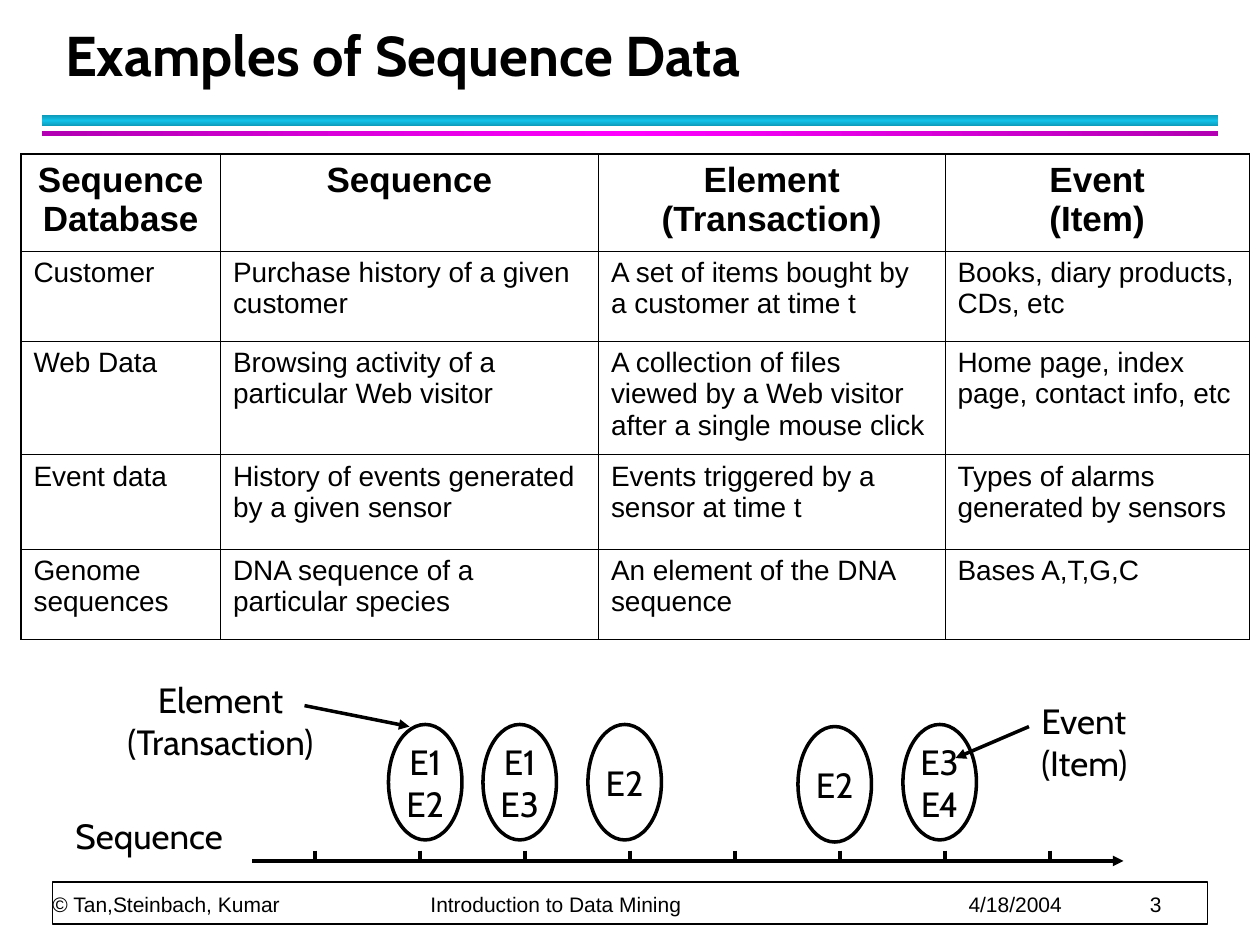
import copy
import dataclasses

import pptx
import pptx.dml.color
import pptx.enum.shapes
import pptx.enum.text
import pptx.oxml
import pptx.oxml.ns
import pptx.util

ALIGN = pptx.enum.text.PP_ALIGN
ANCHOR = pptx.enum.text.MSO_ANCHOR
SHAPE = pptx.enum.shapes.MSO_SHAPE
NAMESPACE = pptx.oxml.ns.nsdecls("a")


@dataclasses.dataclass(frozen=True)
class Theme:
    ink: str = "000000"
    paper: str = "FFFFFF"
    cyan_bar: tuple = ("0E9BBA", "12C2E9", "0E9BBA")
    magenta_bar: tuple = ("B200B2", "FF00FF", "B200B2")
    heading_font: str = "Cabin"
    body_font: str = "Arial"
    title_size: int = 32
    label_size: int = 20
    cell_size: int = 16
    footer_size: int = 12
    diagram_line: float = 2
    frame_line: float = 1
    outer_border: float = 1.08
    inner_border: float = 0.45


def color(value):
    return pptx.dml.color.RGBColor.from_string(value)


def write_text(frame, text, *, font, size, ink, bold=False, align=ALIGN.LEFT,
               anchor=ANCHOR.TOP, wrap=True, line_spacing=None, tabs=()):
    frame.word_wrap = wrap
    frame.vertical_anchor = anchor
    paragraph = frame.paragraphs[0]
    paragraph.text = text
    if tabs:
        stops = "".join(f'<a:tab pos="{pptx.util.Inches(tab)}" algn="l"/>' for tab in tabs)
        paragraph._p.get_or_add_pPr().append(
            pptx.oxml.parse_xml(f"<a:tabLst {NAMESPACE}>{stops}</a:tabLst>"))
    paragraph.alignment = align
    if line_spacing:
        paragraph.line_spacing = pptx.util.Pt(line_spacing)
    for run in paragraph.runs:
        run.font.name = font
        run.font.size = pptx.util.Pt(size)
        run.font.bold = bold
        run.font.color.rgb = color(ink)


class SlideBuilder:
    COLUMNS, ROWS = 120, 90

    def __init__(self, presentation, theme):
        self.theme = theme
        self.cell_width = presentation.slide_width / self.COLUMNS
        self.cell_height = presentation.slide_height / self.ROWS
        self.slide = presentation.slides.add_slide(presentation.slide_layouts[5])

    def place(self, column, row):
        return round(column * self.cell_width), round(row * self.cell_height)

    def box(self, column, row, width, height):
        return self.place(column, row) + self.place(width, height)

    def title(self, text, *area):
        shape = self.slide.shapes.title
        shape.left, shape.top, shape.width, shape.height = self.box(*area)
        shape.text_frame.auto_size = pptx.enum.text.MSO_AUTO_SIZE.NONE
        write_text(shape.text_frame, text, font=self.theme.heading_font,
                   size=self.theme.title_size, ink=self.theme.ink, bold=True,
                   anchor=ANCHOR.BOTTOM, line_spacing=36)

    def shape(self, kind, *area):
        shape = self.slide.shapes.add_shape(kind, *self.box(*area))
        shape.shadow.inherit = False
        return shape

    def outline(self, shape, width):
        shape.line.color.rgb = color(self.theme.ink)
        shape.line.width = pptx.util.Pt(width)

    def gradient_bar(self, colors, angle, *area):
        bar = self.shape(SHAPE.RECTANGLE, *area)
        bar.line.fill.background()
        bar.fill.gradient()
        bar.fill.gradient_angle = angle
        stop_list = bar._element.spPr.find(".//" + pptx.oxml.ns.qn("a:gsLst"))
        stop_list.append(copy.deepcopy(stop_list[0]))
        for index, stop in enumerate(bar.fill.gradient_stops):
            stop.position = index / 2
            stop.color.rgb = color(colors[index])

    def frame(self, *area):
        frame = self.shape(SHAPE.RECTANGLE, *area)
        frame.fill.solid()
        frame.fill.fore_color.rgb = color(self.theme.paper)
        self.outline(frame, self.theme.frame_line)

    def footer(self, text, tabs, *area):
        frame = self.slide.shapes.add_textbox(*self.box(*area)).text_frame
        frame.margin_left = frame.margin_right = frame.margin_top = frame.margin_bottom = 0
        write_text(frame, text, font=self.theme.body_font, size=self.theme.footer_size,
                   ink=self.theme.ink, anchor=ANCHOR.BOTTOM, line_spacing=20, tabs=tabs)

    def label(self, text, *area, align=ALIGN.LEFT):
        frame = self.slide.shapes.add_textbox(*self.box(*area)).text_frame
        write_text(frame, text, font=self.theme.heading_font, size=self.theme.label_size,
                   ink=self.theme.ink, align=align)

    def element(self, text, *area):
        ellipse = self.shape(SHAPE.OVAL, *area)
        ellipse.fill.background()
        self.outline(ellipse, self.theme.diagram_line)
        write_text(ellipse.text_frame, text, font=self.theme.heading_font,
                   size=self.theme.label_size, ink=self.theme.ink, align=ALIGN.CENTER,
                   anchor=ANCHOR.MIDDLE, wrap=False)

    def line(self, start, end, arrow=False):
        connector = self.slide.shapes.add_connector(
            pptx.enum.shapes.MSO_CONNECTOR.STRAIGHT, *self.place(*start), *self.place(*end))
        self.outline(connector, self.theme.diagram_line)
        if arrow:
            connector.line._get_or_add_ln().append(
                pptx.oxml.parse_xml(f'<a:tailEnd {NAMESPACE} type="triangle"/>'))
        connector._element.spPr.append(pptx.oxml.parse_xml(f"<a:effectLst {NAMESPACE}/>"))

    def border(self, cell, side, outer):
        width = pptx.util.Pt(self.theme.outer_border if outer else self.theme.inner_border)
        cell._tc.get_or_add_tcPr().append(pptx.oxml.parse_xml(
            f'<a:ln{side} {NAMESPACE} w="{width}"><a:solidFill>'
            f'<a:srgbClr val="{self.theme.ink}"/></a:solidFill></a:ln{side}>'))

    def table(self, records, column, row, widths, heights):
        area = self.box(column, row, sum(widths), sum(heights))
        table = self.slide.shapes.add_table(len(heights), len(widths), *area).table
        table.first_row = table.horz_banding = False
        for table_column, width in zip(table.columns, widths):
            table_column.width = self.place(width, 0)[0]
        for table_row, height in zip(table.rows, heights):
            table_row.height = self.place(0, height)[1]
        for r, record in enumerate(records):
            for c, text in enumerate(record):
                cell = table.cell(r, c)
                header = r == 0
                edges = {"L": c == 0, "R": c == len(widths) - 1,
                         "T": header, "B": r == len(heights) - 1}
                for side, outer in edges.items():
                    self.border(cell, side, outer)
                cell.fill.background()
                write_text(cell.text_frame, text, font=self.theme.body_font,
                           size=self.theme.label_size if header else self.theme.cell_size,
                           ink=self.theme.ink, bold=header,
                           align=ALIGN.CENTER if header else ALIGN.LEFT)


RECORDS = [
    ("Sequence Database", "Sequence", "Element (Transaction)", "Event\v(Item)"),
    ("Customer", "Purchase history of a given customer",
     "A set of items bought by a customer at time t", "Books, diary products, CDs, etc"),
    ("Web Data", "Browsing activity of a particular Web visitor",
     "A collection of files viewed by a Web visitor after a single mouse click",
     "Home page, index page, contact info, etc"),
    ("Event data", "History of events generated by a given sensor",
     "Events triggered by a sensor at time t", "Types of alarms generated by sensors"),
    ("Genome sequences", "DNA sequence of a particular species",
     "An element of the DNA sequence", "Bases A,T,G,C"),
]
ELEMENTS = [("E1\vE2", 37, 69), ("E1\vE3", 46, 69), ("E2", 56, 69),
            ("E3\vE4", 86, 69), ("E2", 76, 69.2)]


def main():
    presentation = pptx.Presentation()
    presentation.slide_width = pptx.util.Inches(10)
    presentation.slide_height = pptx.util.Inches(7.5)
    theme = Theme()
    builder = SlideBuilder(presentation, theme)

    builder.gradient_bar(theme.cyan_bar, 90, 4, 11, 112, 1)
    builder.gradient_bar(theme.magenta_bar, 0, 4, 12.5, 112, 0.5)
    builder.frame(5, 84, 110, 4)
    builder.footer("© Tan,Steinbach, Kumar\tIntroduction to Data Mining\t4/18/2004\t3",
                   (3, 7.27, 8.71), 5, 80.6, 109.8, 6.75)
    builder.title("Examples of Sequence Data", 5, 2, 108.75, 7)
    builder.table(RECORDS, 2, 14.67, (19, 36, 33, 29), (9.25, 8.6, 10.8, 9, 8.6))

    builder.line((24, 82), (107, 82), arrow=True)
    builder.label("Sequence", 6, 77, 20, 5.25)
    for column in range(30, 101, 10):
        builder.line((column, 81), (column, 82))
    for text, column, row in ELEMENTS:
        builder.element(text, column, row, 7, 11)
    builder.line((29, 67.2), (39, 69.2), arrow=True)
    builder.label("Element (Transaction)", 9, 64, 24, 9.25, align=ALIGN.CENTER)
    builder.line((98, 69.2), (91, 72.2), arrow=True)
    builder.label("Event\v(Item)", 98, 66, 13, 9.25)

    presentation.save("out.pptx")


if __name__ == "__main__":
    main()
